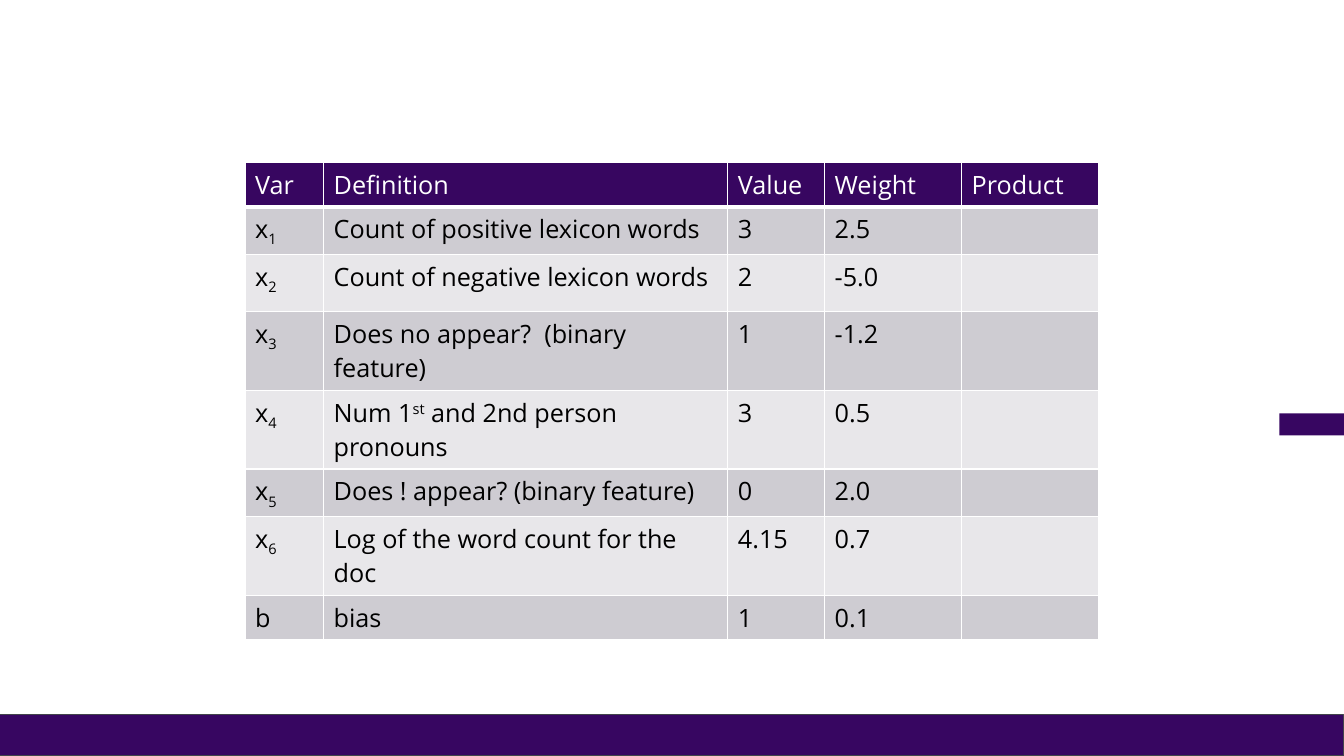
from dataclasses import dataclass

import pptx
import pptx.dml.color
import pptx.enum.shapes
import pptx.oxml
import pptx.oxml.ns
import pptx.slide
import pptx.table
import pptx.text.text
import pptx.util


@dataclass(frozen=True)
class Theme:
    purple: str = "370661"
    header: str = "370660"
    outline: str = "43454B"
    bands: tuple[str, str] = ("CECCD2", "E8E7EA")
    white: str = "FFFFFF"
    black: str = "000000"
    font: str = "Open Sans"
    text_size: float = 18
    thin: float = 1
    thick: float = 3
    bar_line: float = 0.75


@dataclass(frozen=True)
class Block:
    """A filled rectangle, in percent of the slide's width and height."""
    left: float
    top: float
    width: float
    height: float
    line: str | None = None


@dataclass(frozen=True)
class Run:
    text: str
    baseline: int = 0


@dataclass(frozen=True)
class Feature:
    variable: tuple[Run, ...]
    definition: tuple[Run, ...]
    value: str
    weight: str
    height: float

    def cells(self) -> list[tuple[Run, ...]]:
        return [self.variable, self.definition, (Run(self.value),), (Run(self.weight),), ()]


THEME = Theme()
SLIDE_WIDTH = pptx.util.Inches(13.33)
SLIDE_HEIGHT = pptx.util.Inches(7.5)

BLOCKS = (
    Block(0, 94.53, 100, 5.47, THEME.outline),  # footer bar
    Block(95.2, 54.67, 4.8, 2.93),  # side tab
)

# Table grid, in percent of the slide
TABLE_LEFT, TABLE_TOP = 18.23, 21.47
COLUMNS = (5.85, 30.08, 7.2, 10.2, 10.2)
SHORT, TALL = 5.2, 7.6
HEADINGS = ("Var", "Definition", "Value", "Weight", "Product")


def x(number: int) -> tuple[Run, ...]:
    return Run("x"), Run(str(number), -25)


FEATURES = (
    Feature(x(1), (Run("Count of positive lexicon words"),), "3", "2.5", SHORT),
    Feature(x(2), (Run("Count of negative lexicon words"),), "2", "-5.0", TALL),
    Feature(x(3), (Run("Does no appear?  (binary feature)"),), "1", "-1.2", TALL),
    Feature(x(4), (Run("Num 1"), Run("st", 30), Run(" and 2nd person pronouns")),
            "3", "0.5", TALL),
    Feature(x(5), (Run("Does ! appear? (binary feature)"),), "0", "2.0", SHORT),
    Feature(x(6), (Run("Log of the word count for the doc"),), "4.15", "0.7", TALL),
    Feature((Run("b"),), (Run("bias"),), "1", "0.1", SHORT),
)
ROWS = (SHORT, *(feature.height for feature in FEATURES))


def across(percent: float) -> int:
    return round(SLIDE_WIDTH * percent / 100)


def down(percent: float) -> int:
    return round(SLIDE_HEIGHT * percent / 100)


def color(value: str) -> pptx.dml.color.RGBColor:
    return pptx.dml.color.RGBColor.from_string(value)


def draw_block(slide: pptx.slide.Slide, block: Block) -> None:
    shape = slide.shapes.add_shape(
        pptx.enum.shapes.MSO_SHAPE.RECTANGLE,
        across(block.left), down(block.top), across(block.width), down(block.height))
    shape.shadow.inherit = False
    shape.fill.solid()
    shape.fill.fore_color.rgb = color(THEME.purple)
    if block.line:
        shape.line.color.rgb = color(block.line)
        shape.line.width = pptx.util.Pt(THEME.bar_line)
    else:
        shape.line.fill.background()


def set_borders(cell: pptx.table._Cell, top: float, bottom: float) -> None:
    properties = cell._tc.get_or_add_tcPr()
    widths = {"L": THEME.thin, "R": THEME.thin, "T": top, "B": bottom}
    for side, width in widths.items():
        properties.append(pptx.oxml.parse_xml(
            f'<a:ln{side} {pptx.oxml.ns.nsdecls("a")} w="{pptx.util.Pt(width)}">'
            f'<a:solidFill><a:srgbClr val="{THEME.white}"/></a:solidFill></a:ln{side}>'))


def write_runs(paragraph: pptx.text.text._Paragraph, runs: tuple[Run, ...],
               text_color: str) -> None:
    for part in runs:
        run = paragraph.add_run()
        run.text = part.text
        if part.baseline:
            run._r.get_or_add_rPr().set("baseline", str(part.baseline * 1000))
    paragraph.font.name = THEME.font
    paragraph.font.size = pptx.util.Pt(THEME.text_size)
    paragraph.font.bold = False
    paragraph.font.color.rgb = color(text_color)


def draw_table(slide: pptx.slide.Slide) -> None:
    table = slide.shapes.add_table(
        len(ROWS), len(COLUMNS), across(TABLE_LEFT), down(TABLE_TOP),
        across(sum(COLUMNS)), down(sum(ROWS))).table
    table.first_row = False
    table.horz_banding = False
    for column, width in zip(table.columns, COLUMNS):
        column.width = across(width)
    for row, height in zip(table.rows, ROWS):
        row.height = down(height)

    contents = [[(Run(heading),) for heading in HEADINGS]]
    contents += [feature.cells() for feature in FEATURES]
    for index, row_runs in enumerate(contents):
        is_header = index == 0
        fill = THEME.header if is_header else THEME.bands[(index - 1) % 2]
        text_color = THEME.white if is_header else THEME.black
        top = THEME.thick if index == 1 else THEME.thin
        bottom = THEME.thick if is_header else THEME.thin
        for cell, runs in zip(table.rows[index].cells, row_runs):
            set_borders(cell, top, bottom)
            cell.fill.solid()
            cell.fill.fore_color.rgb = color(fill)
            write_runs(cell.text_frame.paragraphs[0], runs, text_color)


def main() -> None:
    presentation = pptx.Presentation()
    presentation.slide_width = SLIDE_WIDTH
    presentation.slide_height = SLIDE_HEIGHT
    slide = presentation.slides.add_slide(presentation.slide_layouts[6])  # blank layout

    # Footer bar and side tab
    for block in BLOCKS:
        draw_block(slide, block)

    # Feature table
    draw_table(slide)

    presentation.save("out.pptx")


if __name__ == "__main__":
    main()
